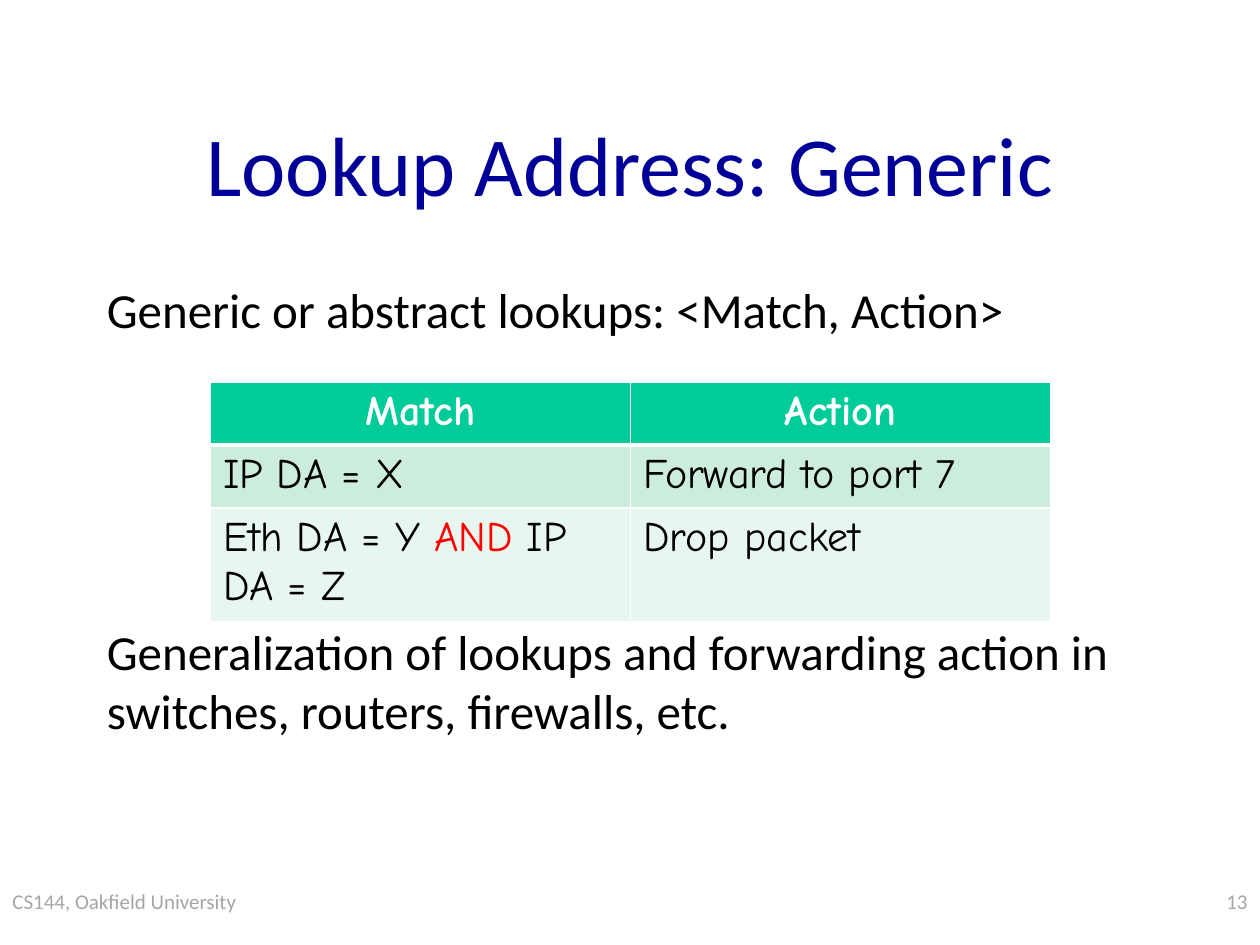
from pptx import Presentation
from pptx import util as u
from pptx.dml.color import RGBColor
from pptx.enum import text
from pptx.oxml import parse_xml
from pptx.oxml.ns import nsdecls

LEFT, MID, RIGHT = text.PP_ALIGN.LEFT, text.PP_ALIGN.CENTER, text.PP_ALIGN.RIGHT


def color(code):
    return RGBColor.from_string(code)


class Deck:
    sans, hand = "Calibri", "Comic Neue"
    blue, black, gray, white, red = "000099", "000000", "A6A6A6", "FFFFFF", "FF0000"
    head, bands = "00CC99", ("CCECDE", "E7F6EF")

    def __init__(self, wide, high):
        self.prs = Presentation()
        self.prs.slide_width, self.prs.slide_height = u.Inches(wide), u.Inches(high)
        self.slide = self.prs.slides.add_slide(self.prs.slide_layouts[6])

    def fill(self, para, parts, align=LEFT, gap=0, **base):
        para.alignment, para.space_before = align, u.Pt(gap)
        for words, tint in parts:
            run = para.add_run()
            run.text = words
            for key, val in base.items():
                setattr(run.font, key, val)
            run.font.color.rgb = color(tint)

    def box(self, place, lines, size, tint, align=LEFT, anchor=text.MSO_ANCHOR.TOP):
        frame = self.slide.shapes.add_textbox(*map(u.Inches, place)).text_frame
        frame.word_wrap, frame.vertical_anchor = True, anchor
        for i, (words, gap) in enumerate(lines):
            para = frame.add_paragraph() if i else frame.paragraphs[0]
            self.fill(para, [(words, tint)], align, gap, name=self.sans, size=u.Pt(size))

    def edge(self, cell, **widths):
        props = cell._tc.get_or_add_tcPr()
        for i, side in enumerate("LRTB"):
            width = u.Pt(widths.get(side, 1))
            props.insert(i, parse_xml(
                f'<a:ln{side} {nsdecls("a")} w="{width}"><a:solidFill>'
                f'<a:srgbClr val="{self.white}"/></a:solidFill></a:ln{side}>'))

    def table(self, place, rows):
        grid = self.slide.shapes.add_table(
            len(rows), len(rows[0]), *map(u.Inches, place)).table
        for r, row in enumerate(rows):
            for c, parts in enumerate(row):
                cell, top = grid.cell(r, c), r == 0
                cell.fill.solid()
                cell.fill.fore_color.rgb = color(
                    self.head if top else self.bands[(r - 1) % 2])
                self.edge(cell, T=3 if r == 1 else 1, B=3 if top else 1)
                self.fill(cell.text_frame.paragraphs[0], parts, MID if top else LEFT,
                          name=self.hand, size=u.Pt(24), bold=top)


deck = Deck(10, 7.5)

# Footer and page number
deck.box((0, 7, 2.42, 0.5), [("CS144, Oakfield University", 0)], 12, deck.gray)
deck.box((7.92, 7, 2.08, 0.5), [("13", 0)], 12, deck.gray, RIGHT)

# Title
deck.box((0.75, 0.67, 8.5, 1.25), [("Lookup Address: Generic", 0)], 48, deck.blue,
         MID, text.MSO_ANCHOR.MIDDLE)

# Body, with room for the table between its paragraphs
deck.box((0.75, 2.17, 8.5, 4.5), [
    ("Generic or abstract lookups: <Match, Action>", 0),
    ("Generalization of lookups and forwarding action in "
     "switches, routers, firewalls, etc.", 162),
], 28, deck.black)

# Match and action table
ink = deck.black
deck.table((1.67, 3.03, 6.67, 1.22), [
    [[("Match", deck.white)], [("Action", deck.white)]],
    [[("IP DA = X", ink)], [("Forward to port 7", ink)]],
    [[("Eth DA = Y ", ink), ("AND", deck.red), (" IP DA = Z", ink)],
     [("Drop packet", ink)]],
])

deck.prs.save("out.pptx")
